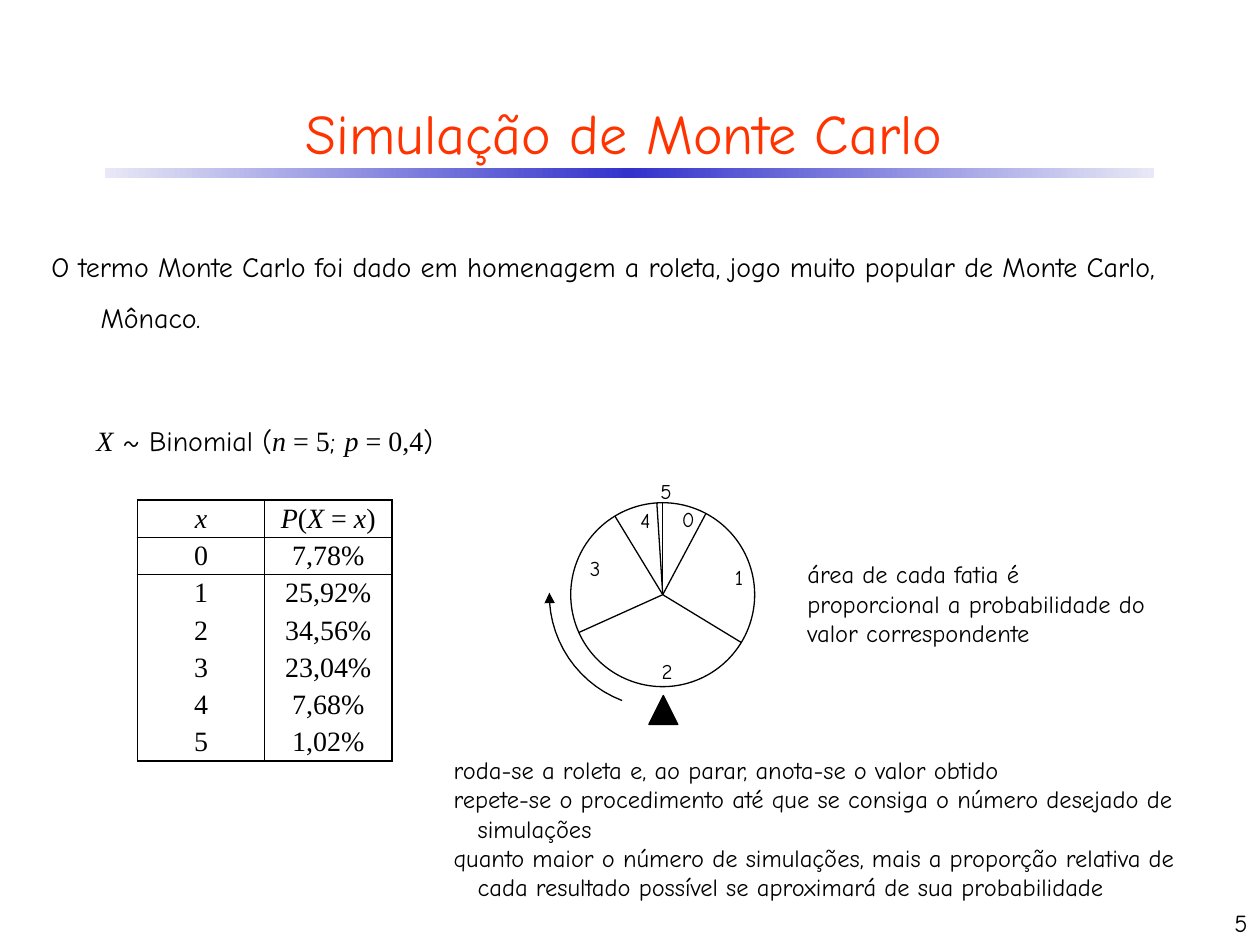
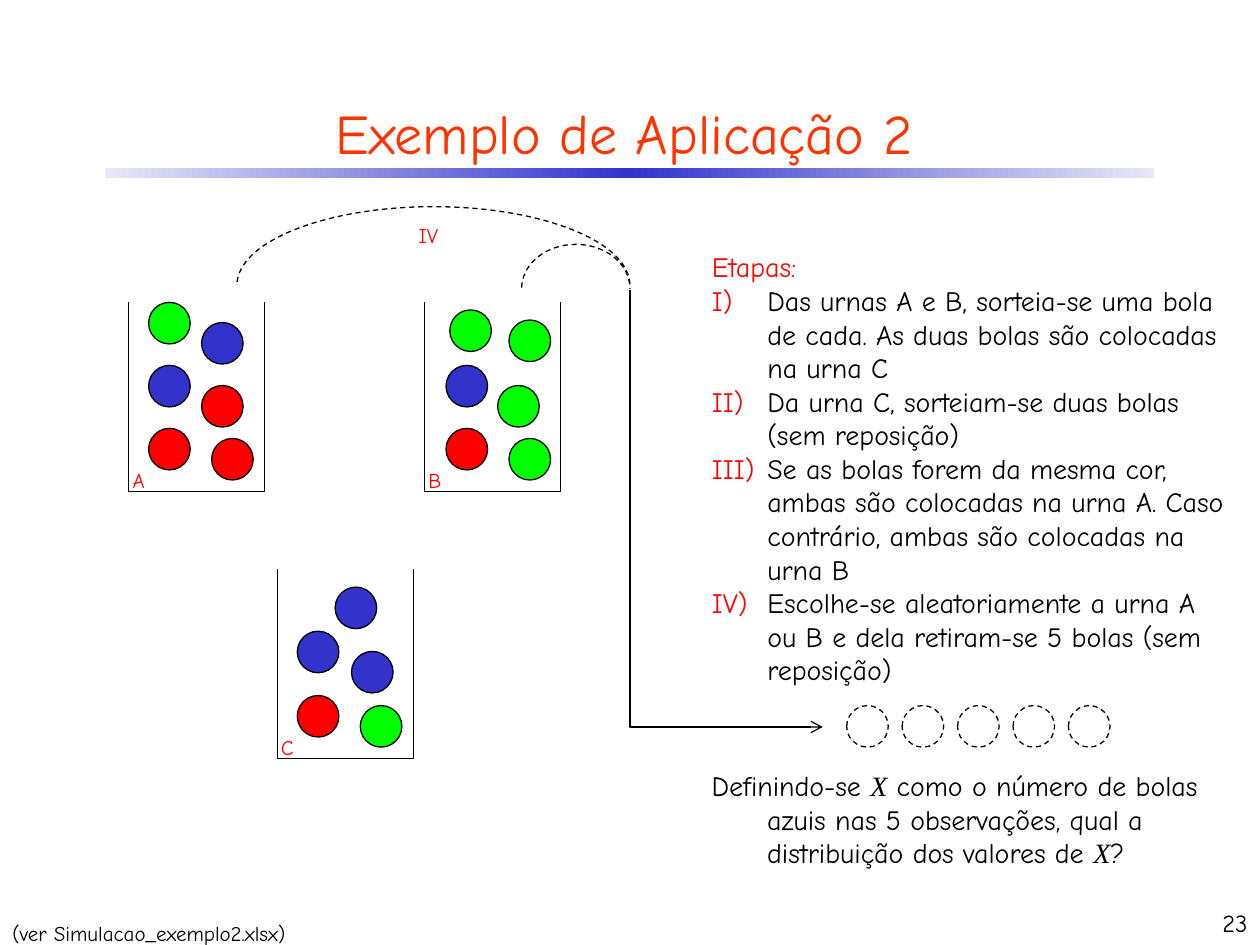
from copy import deepcopy
from dataclasses import dataclass
from itertools import accumulate
from math import cos, radians, sin

from lxml.etree import SubElement
from pptx import Presentation
from pptx.dml.color import RGBColor
from pptx.enum.dml import MSO_LINE
from pptx.enum.shapes import MSO_CONNECTOR, MSO_SHAPE
from pptx.enum.text import MSO_ANCHOR, MSO_AUTO_SIZE, PP_ALIGN
from pptx.oxml.ns import qn
from pptx.util import Inches, Pt


@dataclass(frozen=True)
class Theme:
    font: str = "Comic Neue"
    math_font: str = "Times New Roman"
    title_color: str = "FF3300"
    ink: str = "000000"
    red: str = "FF0000"
    green: str = "00FF00"
    blue: str = "3333CC"
    band_edge: str = "E8E8F6"
    title_size: int = 32
    text_size: int = 16
    note_size: int = 14
    label_size: int = 12
    line_width: float = 0.75
    table_line: int = 1


@dataclass(frozen=True)
class Math:
    text: str
    italic: bool = True


THEME = Theme()
BALL_SIZE = 0.33
WHEEL_CENTER = (5.26, 4.72)
WHEEL_RADIUS = 0.73
PROBABILITIES = [7.78, 25.92, 34.56, 23.04, 7.68, 1.02]
WHEEL_LABELS = [(5.32, 3.97), (5.74, 4.43), (5.16, 5.18),
                (4.59, 4.36), (4.99, 3.98), (5.15, 3.75)]
URN_A = [("green", 0.16, 0), ("blue", 0.58, 0.16), ("blue", 0.16, 0.5),
         ("red", 0.58, 0.66), ("red", 0.16, 1), ("red", 0.66, 1.08)]
URN_B = [("green", 0.2, 0.06), ("green", 0.67, 0.14), ("blue", 0.17, 0.5),
         ("green", 0.58, 0.66), ("red", 0.17, 1), ("green", 0.67, 1.08)]
URN_C = [("blue", 0.46, 0.14), ("blue", 0.16, 0.49), ("blue", 0.59, 0.65),
         ("red", 0.16, 1), ("green", 0.66, 1.08)]
STEPS = [
    "Das urnas A e B, sorteia-se uma bola de cada. As duas bolas são colocadas na urna C",
    "Da urna C, sorteiam-se duas bolas (sem reposição)",
    "Se as bolas forem da mesma cor, ambas são colocadas na urna A. "
    "Caso contrário, ambas são colocadas na urna B",
    "Escolhe-se aleatoriamente a urna A ou B e dela retiram-se 5 bolas (sem reposição)",
]
ROULETTE_NOTES = [
    "roda-se a roleta e, ao parar, anota-se o valor obtido",
    "repete-se o procedimento até que se consiga o número desejado de simulações",
    "quanto maior o número de simulações, mais a proporção relativa de cada resultado "
    "possível se aproximará de sua probabilidade",
]


def rgb(color):
    return RGBColor.from_string(color)


def place(shape, left, top, width, height):
    shape.left, shape.top = Inches(left), Inches(top)
    shape.width, shape.height = Inches(width), Inches(height)


def write(paragraph, pieces, size, color=THEME.ink, align=None, hanging=0, spacing=None):
    for piece in pieces:
        is_math = isinstance(piece, Math)
        run = paragraph.add_run()
        run.text = piece.text if is_math else piece
        run.font.name = THEME.math_font if is_math else THEME.font
        run.font.italic = is_math and piece.italic
        run.font.size = Pt(size)
        run.font.color.rgb = rgb(color)
    paragraph.alignment = align
    paragraph.line_spacing = spacing
    paragraph.space_before = Pt(0)
    if hanging:
        properties = paragraph._p.get_or_add_pPr()
        properties.set("marL", str(Inches(hanging)))
        properties.set("indent", str(-Inches(hanging)))


def set_bullet(paragraph, numbered=False):
    properties = paragraph._p.get_or_add_pPr()
    if not numbered:
        SubElement(properties, qn("a:buNone"))
        return
    color = SubElement(properties, qn("a:buClr"))
    SubElement(color, qn("a:srgbClr"), val=THEME.red)
    SubElement(properties, qn("a:buFont"), typeface=THEME.font)
    SubElement(properties, qn("a:buAutoNum"), type="romanUcParenR")


def add_text(shapes, box, pieces, size, wrap=True, anchor=MSO_ANCHOR.TOP, **style):
    text_box = shapes.add_textbox(*map(Inches, box))
    frame = text_box.text_frame
    frame.word_wrap = wrap
    frame.auto_size = MSO_AUTO_SIZE.NONE if wrap else MSO_AUTO_SIZE.SHAPE_TO_FIT_TEXT
    frame.vertical_anchor = anchor
    write(frame.paragraphs[0], pieces, size, **style)


def add_label(shapes, box, text, color=THEME.ink):
    add_text(shapes, box, [text], THEME.label_size, wrap=False, color=color,
             align=PP_ALIGN.CENTER)


def style_shape(shape, fill=None, dashed=False):
    shape.shadow.inherit = False
    if fill:
        shape.fill.solid()
        shape.fill.fore_color.rgb = rgb(fill)
    else:
        shape.fill.background()
    style_line(shape.line, dashed)


def style_line(line, dashed=False):
    line.color.rgb = rgb(THEME.ink)
    line.width = Pt(THEME.line_width)
    if dashed:
        line.dash_style = MSO_LINE.DASH


def add_figure(shapes, kind, box, fill=None, dashed=False):
    shape = shapes.add_shape(kind, *map(Inches, box))
    style_shape(shape, fill, dashed)
    return shape


def add_ball(shapes, left, top, fill=None, dashed=False):
    add_figure(shapes, MSO_SHAPE.OVAL, (left, top, BALL_SIZE, BALL_SIZE), fill, dashed)


def add_outline(shapes, points):
    first, *others = [(Inches(x), Inches(y)) for x, y in points]
    builder = shapes.build_freeform(*first)
    builder.add_line_segments(others, close=False)
    outline = builder.convert_to_shape()
    style_shape(outline)
    return outline


def add_line(shapes, begin, end, kind=MSO_CONNECTOR.STRAIGHT):
    connector = shapes.add_connector(kind, *map(Inches, (*begin, *end)))
    style_line(connector.line)
    SubElement(connector.element.spPr, qn("a:effectLst"))
    return connector


def add_arrowhead(shape, kind):
    SubElement(shape.line._get_or_add_ln(), qn("a:tailEnd"), type=kind)


def add_elbow_arrow(shapes, begin, end):
    width, height = end[0] - begin[0], end[1] - begin[1]
    center_x, center_y = (begin[0] + end[0]) / 2, (begin[1] + end[1]) / 2
    connector = add_line(shapes, (center_x + height / 2, center_y - width / 2),
                         (center_x - height / 2, center_y + width / 2), MSO_CONNECTOR.ELBOW)
    connector.element.spPr.find(qn("a:xfrm")).set("rot", "16200000")
    connector.element.spPr.find(qn("a:prstGeom")).set("prst", "bentConnector2")
    add_arrowhead(connector, "arrow")


def add_dashed_arch(shapes, box):
    arch = add_figure(shapes, MSO_SHAPE.ARC, box, dashed=True)
    arch.adjustments[0], arch.adjustments[1] = 108.6, 0.4


def prepare_layout(presentation):
    layout = presentation.slide_layouts[1]
    place(layout.placeholders[0], 0.33, 0.67, 9.25, 0.75)
    return layout


def add_band_to_layout(layout, slide):
    band = slide.shapes.add_shape(MSO_SHAPE.RECTANGLE, *map(Inches, (0.83, 1.33, 8.33, 0.08)))
    band.shadow.inherit = False
    band.line.fill.background()
    band.fill.gradient()
    band.fill.gradient_angle = 0
    stops = band.element.find(".//" + qn("a:gsLst"))
    stops.append(deepcopy(stops[0]))
    colors = [THEME.band_edge, THEME.blue, THEME.band_edge]
    for stop, color, position in zip(band.fill.gradient_stops, colors, (0, 0.5, 1)):
        stop.color.rgb = rgb(color)
        stop.position = position
    layout.shapes.element.append(band.element)


def add_slide(presentation, layout, title, number):
    slide = presentation.slides.add_slide(layout)
    write(slide.shapes.title.text_frame.paragraphs[0], [title], THEME.title_size,
          THEME.title_color, PP_ALIGN.CENTER)
    add_text(slide.shapes, (7.92, 7.14, 2.08, 0.35), [number], THEME.note_size,
             anchor=MSO_ANCHOR.BOTTOM, align=PP_ALIGN.RIGHT)
    return slide


def fill_body(slide, box, lines, size, hanging, heading=None):
    body = slide.placeholders[1]
    place(body, *box)
    frame = body.text_frame
    frame.auto_size = MSO_AUTO_SIZE.NONE
    paragraph = frame.paragraphs[0]
    if heading:
        write(paragraph, [heading], size, THEME.red, hanging=0.21, spacing=1.5)
        set_bullet(paragraph)
    for index, line in enumerate(lines):
        if heading or index:
            paragraph = frame.add_paragraph()
        write(paragraph, [line], size, hanging=hanging)
        set_bullet(paragraph, numbered=bool(heading))


def set_cell(cell, pieces, sides):
    cell.margin_left = cell.margin_right = cell.margin_top = cell.margin_bottom = 0
    cell.vertical_anchor = MSO_ANCHOR.MIDDLE
    write(cell.text_frame.paragraphs[0], pieces, THEME.text_size, align=PP_ALIGN.CENTER)
    properties = cell._tc.get_or_add_tcPr()
    for side in sides:
        border = SubElement(properties, qn("a:ln" + side), w=str(Pt(THEME.table_line)))
        fill = SubElement(border, qn("a:solidFill"))
        SubElement(fill, qn("a:srgbClr"), val=THEME.ink)
    cell.fill.background()


def add_probability_table(shapes):
    header = [[Math("x")], [Math("P"), Math("(", False), Math("X"), Math(" = ", False),
                            Math("x"), Math(")", False)]]
    rows = [header] + [
        [[Math(str(value), False)], [Math(f"{chance:.2f}%".replace(".", ","), False)]]
        for value, chance in enumerate(PROBABILITIES)]
    frame = shapes.add_table(len(rows), 2, *map(Inches, (1.09, 3.97, 2.02, 2.07)))
    table = frame.table
    table.first_row = table.horz_banding = False
    style = next(frame.element.iter(qn("a:tableStyleId")))
    style.text = "{2D5ABB26-0587-4C30-8999-92F81FD0307C}"
    borders = {0: "LRTB", 1: "LRT", len(rows) - 1: "LRB"}
    for row_index, row in enumerate(rows):
        for column_index, pieces in enumerate(row):
            set_cell(table.cell(row_index, column_index), pieces, borders.get(row_index, "LR"))


def around_wheel(degrees, radius):
    angle = radians(degrees)
    return WHEEL_CENTER[0] + radius * sin(angle), WHEEL_CENTER[1] - radius * cos(angle)


def add_roulette(slide):
    shapes = slide.shapes.add_group_shape().shapes
    for total in accumulate(PROBABILITIES):
        add_line(shapes, WHEEL_CENTER, around_wheel(total * 3.6, WHEEL_RADIUS))
    for value, position in enumerate(WHEEL_LABELS):
        add_label(shapes, (*position, 0.19, 0.19), str(value))
    left, top = (middle - WHEEL_RADIUS for middle in WHEEL_CENTER)
    add_figure(shapes, MSO_SHAPE.OVAL, (left, top, 2 * WHEEL_RADIUS, 2 * WHEEL_RADIUS))
    add_figure(shapes, MSO_SHAPE.ISOSCELES_TRIANGLE, (5.15, 5.52, 0.23, 0.23), THEME.ink)
    rotation = add_outline(slide.shapes, [around_wheel(a, 0.9) for a in range(201, 272, 5)])
    add_arrowhead(rotation, "triangle")


def add_urn(slide, name, left, top, balls):
    shapes = slide.shapes.add_group_shape().shapes
    right, bottom = left + 1.08, top + 1.5
    add_outline(shapes, [(left, top), (left, bottom), (right, bottom), (right, top)])
    for color, across, down in balls:
        add_ball(shapes, left + across, top + down, getattr(THEME, color))
    add_label(slide.shapes, (left - 0.08, top + 1.26, 0.32, 0.3), name, THEME.red)


def build_roulette_slide(slide):
    add_text(slide.shapes, (0.31, 1.8, 9.38, 0.86),
             ["O termo Monte Carlo foi dado em homenagem a roleta, jogo muito popular "
              "de Monte Carlo, Mônaco."], THEME.text_size, hanging=0.39, spacing=1.5)
    add_text(slide.shapes, (0.64, 3.31, 2.92, 0.37),
             [Math("X"), " ~ Binomial (", Math("n"), Math(" = 5", False), "; ", Math("p"),
              Math(" = 0,4", False), ")"], THEME.text_size, wrap=False, align=PP_ALIGN.CENTER)
    add_probability_table(slide.shapes)
    add_roulette(slide)
    add_text(slide.shapes, (6.31, 4.39, 2.94, 0.81),
             ["área de cada fatia é proporcional a probabilidade do valor correspondente"],
             THEME.note_size)
    fill_body(slide, (3.5, 5.94, 6.06, 1.28), ROULETTE_NOTES, THEME.note_size, 0.19)


def build_urns_slide(slide):
    add_urn(slide, "A", 1.02, 2.4, URN_A)
    add_urn(slide, "B", 3.37, 2.4, URN_B)
    add_urn(slide, "C", 2.2, 4.52, URN_C)
    add_dashed_arch(slide.shapes, (1.88, 1.64, 3.12, 1.25))
    add_dashed_arch(slide.shapes, (4.14, 1.94, 0.86, 0.7))
    add_elbow_arrow(slide.shapes, (5, 2.3), (6.53, 5.77))
    add_label(slide.shapes, (3.2, 1.72, 0.4, 0.3), "IV", THEME.red)
    fill_body(slide, (5.55, 1.8, 4.3, 3.74), STEPS, THEME.text_size, 0.44, "Etapas:")
    drawn_balls = slide.shapes.add_group_shape().shapes
    for index in range(5):
        add_ball(drawn_balls, 6.72 + 0.44 * index, 5.6, dashed=True)
    add_text(slide.shapes, (5.55, 6.05, 4.31, 0.91),
             ["Definindo-se ", Math("X"), " como o número de bolas azuis nas 5 observações, "
              "qual a distribuição dos valores de ", Math("X"), "?"],
             THEME.text_size, hanging=0.44)
    add_text(slide.shapes, (0, 7.16, 2.63, 0.4), ["(ver Simulacao_exemplo2.xlsx)"],
             THEME.label_size, hanging=0.39, spacing=1.5)


def main():
    presentation = Presentation()
    presentation.slide_width, presentation.slide_height = Inches(10), Inches(7.5)
    layout = prepare_layout(presentation)
    roulette_slide = add_slide(presentation, layout, "Simulação de Monte Carlo", "5")
    add_band_to_layout(layout, roulette_slide)
    build_roulette_slide(roulette_slide)
    build_urns_slide(add_slide(presentation, layout, "Exemplo de Aplicação 2", "23"))
    presentation.save("out.pptx")


if __name__ == "__main__":
    main()
